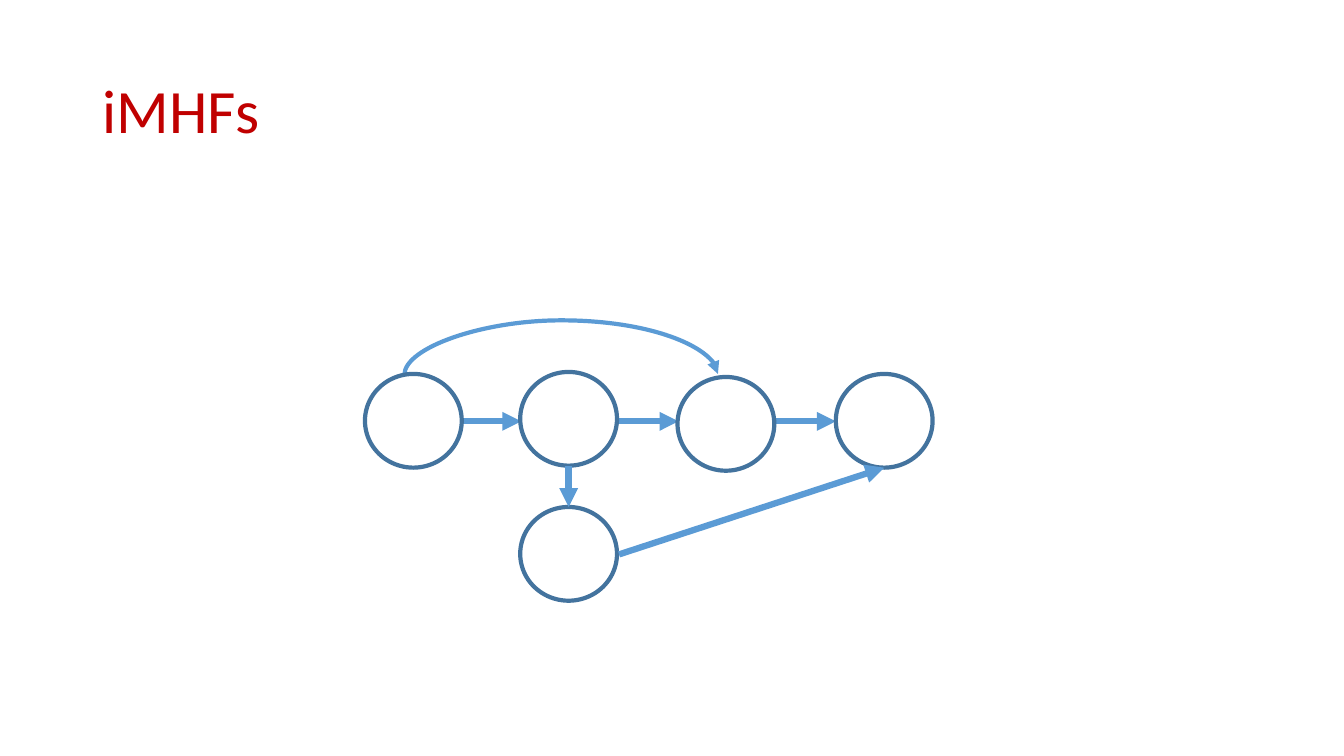
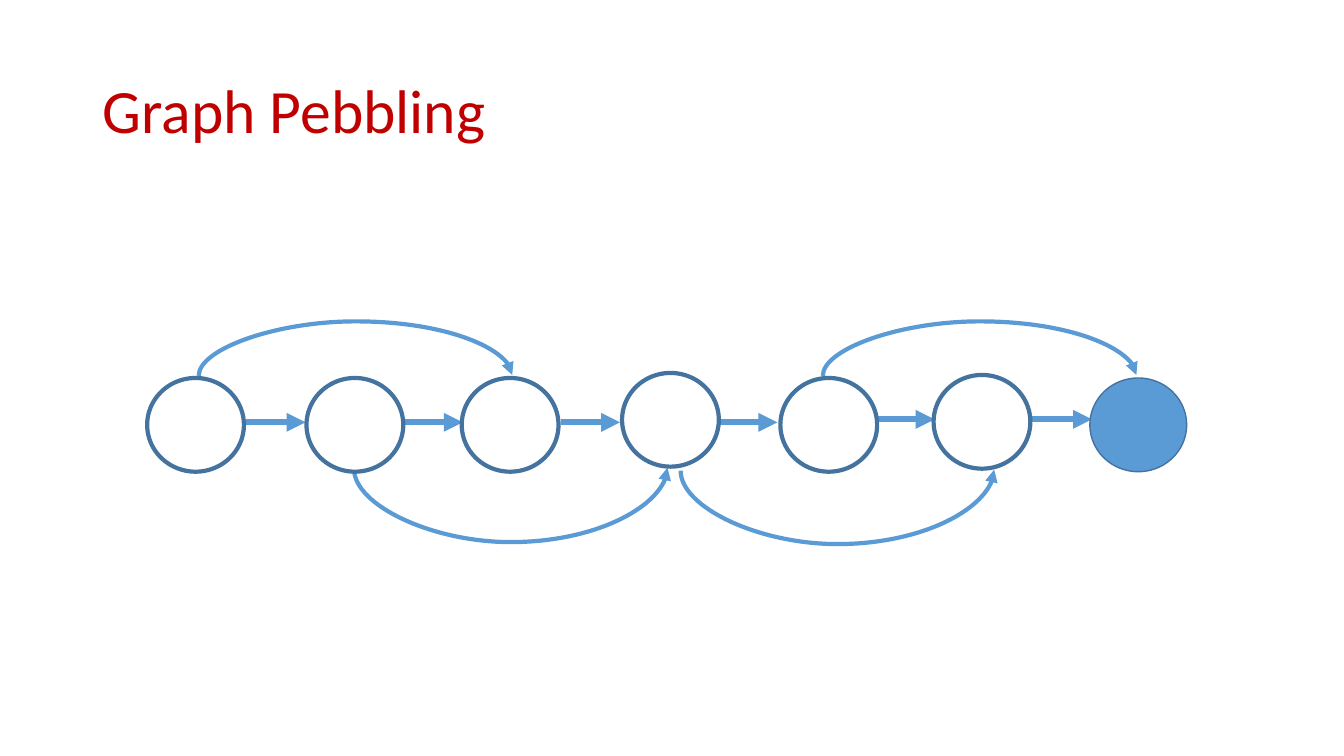
from lxml.etree import SubElement
from pptx import Presentation
from pptx.dml.color import RGBColor
from pptx.enum.shapes import MSO_CONNECTOR, MSO_SHAPE
from pptx.enum.text import MSO_ANCHOR
from pptx.oxml.ns import qn
from pptx.util import Inches, Pt

COLORS = {"title": "C00000", "edge": "5B9BD5", "outline": "43739E", "white": "FFFFFF"}
FONT = "Calibri"
SLIDE_WIDTH, SLIDE_HEIGHT = 13.33, 7.5
NODE_WIDTH, NODE_HEIGHT = 0.96, 0.93
STEP_PITCH, STEP_LENGTH = 1.56, 0.59
ARC_SPAN, ARC_RISE = 3.11, 0.01
ARC_UP, ARC_DOWN = 0.55, -0.74

# Nodes are (left, top); steps are the y of each arrow along the chain;
# arcs are (start x, start y, bulge); branches are (begin, end) points.
GRAPHS = [
    {
        "title": "iMHFs",
        "nodes": [(3.62, 3.71), (5.16, 3.69), (6.72, 3.74), (8.29, 3.71), (5.16, 5.03)],
        "pebbled": [],
        "first_step": 4.58,
        "steps": [4.18] * 3,
        "arcs": [(4.01, 3.72, ARC_UP)],
        "branches": [((5.64, 4.62), (5.64, 5.03)), ((6.14, 5.5), (8.77, 4.64))],
    },
    {
        "title": "Graph Pebbling",
        "nodes": [(1.46, 3.75), (3.04, 3.75), (4.58, 3.75), (6.17, 3.7),
                  (7.74, 3.75), (9.26, 3.72), (10.81, 3.75)],
        "pebbled": [6],
        "first_step": 2.44,
        "steps": [4.19] * 4 + [4.16] * 2,
        "arcs": [(1.97, 3.73, ARC_UP), (8.16, 3.73, ARC_UP),
                 (3.51, 4.65, ARC_DOWN), (6.75, 4.67, ARC_DOWN)],
        "branches": [],
    },
]


def color(name):
    return RGBColor.from_string(COLORS[name])


def add_title(slide, text):
    box = slide.shapes.add_textbox(Inches(0.92), Inches(0.4), Inches(11.5), Inches(1.45))
    frame = box.text_frame
    frame.word_wrap = True
    frame.vertical_anchor = MSO_ANCHOR.MIDDLE
    paragraph = frame.paragraphs[0]
    paragraph.line_spacing = 0.9
    run = paragraph.add_run()
    run.text = text
    run.font.name = FONT
    run.font.size = Pt(44)
    run.font.color.rgb = color("title")


def add_node(slide, left, top, pebbled):
    node = slide.shapes.add_shape(MSO_SHAPE.OVAL, Inches(left), Inches(top),
                                  Inches(NODE_WIDTH), Inches(NODE_HEIGHT))
    node.shadow.inherit = False
    node.fill.solid()
    node.fill.fore_color.rgb = color("edge" if pebbled else "white")
    node.line.color.rgb = color("outline")
    node.line.width = Pt(1 if pebbled else 3)


def add_arrow(slide, begin, end, width=4.5, kind=MSO_CONNECTOR.STRAIGHT):
    points = [Inches(value) for value in (*begin, *end)]
    connector = slide.shapes.add_connector(kind, *points)
    connector.line.color.rgb = color("edge")
    connector.line.width = Pt(width)
    properties = connector._element.spPr
    SubElement(properties.find(qn("a:ln")), qn("a:tailEnd"), type="triangle")
    SubElement(properties, qn("a:effectLst"))
    return connector


def add_arc(slide, x, y, bulge):
    # A tall, thin curve drawn bottom-up, then turned a quarter clockwise
    center_x, center_y = x + ARC_SPAN / 2, y - ARC_RISE / 2
    begin = (center_x + ARC_RISE / 2, center_y + ARC_SPAN / 2)
    end = (center_x - ARC_RISE / 2, center_y - ARC_SPAN / 2)
    arc = add_arrow(slide, begin, end, 3, MSO_CONNECTOR.CURVE)
    properties = arc._element.spPr
    properties.find(qn("a:xfrm")).set("rot", str(90 * 60000))
    geometry = properties.find(qn("a:prstGeom"))
    adjustments = geometry.find(qn("a:avLst"))
    if adjustments is None:
        adjustments = SubElement(geometry, qn("a:avLst"))
    share = round(bulge / ARC_RISE * 100000)
    SubElement(adjustments, qn("a:gd"), name="adj1", fmla=f"val {share}")


def add_graph(presentation, graph):
    slide = presentation.slides.add_slide(presentation.slide_layouts[6])
    add_title(slide, graph["title"])
    # Chain arrows and arcs lie behind the nodes, branches in front
    for index, y in enumerate(graph["steps"]):
        x = graph["first_step"] + index * STEP_PITCH
        add_arrow(slide, (x, y), (x + STEP_LENGTH, y))
    for arc in graph["arcs"]:
        add_arc(slide, *arc)
    for index, (left, top) in enumerate(graph["nodes"]):
        add_node(slide, left, top, index in graph["pebbled"])
    for begin, end in graph["branches"]:
        add_arrow(slide, begin, end)


def main():
    presentation = Presentation()
    presentation.slide_width = Inches(SLIDE_WIDTH)
    presentation.slide_height = Inches(SLIDE_HEIGHT)
    for graph in GRAPHS:
        add_graph(presentation, graph)
    presentation.save("out.pptx")


if __name__ == "__main__":
    main()
